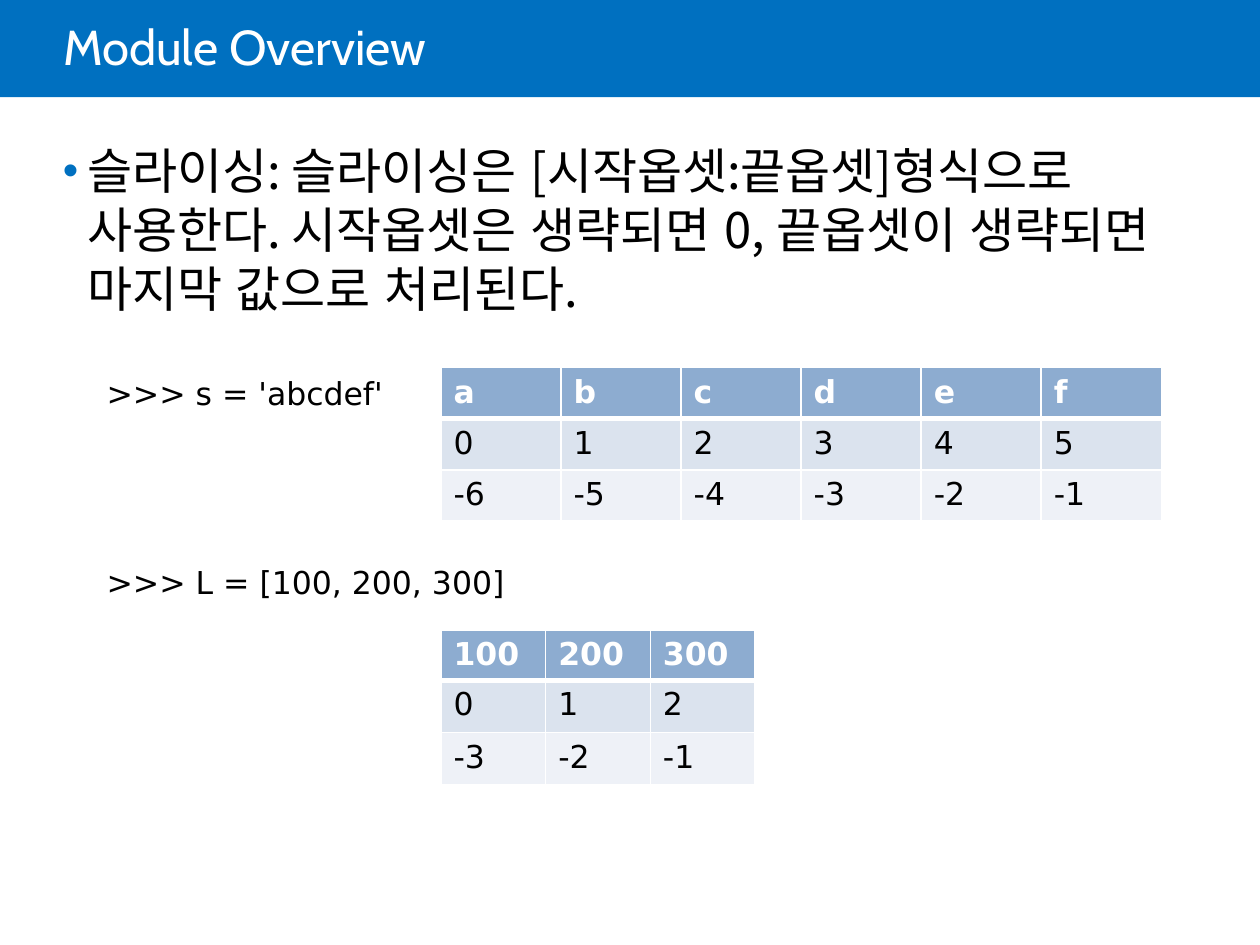
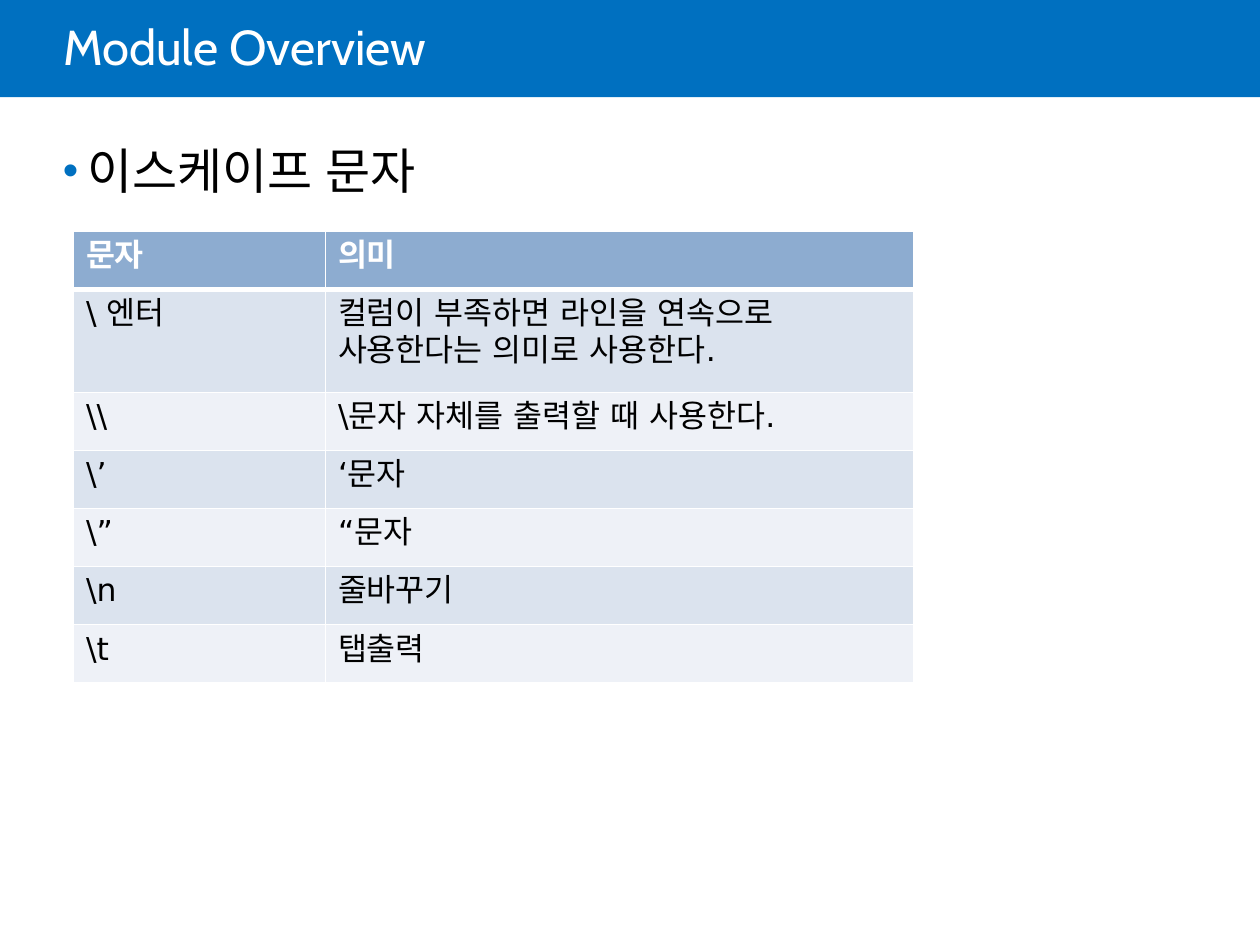
from lxml.etree import SubElement
from pptx import Presentation
from pptx.dml.color import RGBColor
from pptx.enum.shapes import MSO_SHAPE
from pptx.enum.text import MSO_ANCHOR, MSO_AUTO_SIZE, PP_ALIGN
from pptx.oxml.ns import qn
from pptx.util import Cm, Pt

COLORS = {
    "band": "0070C0",
    "header": "8DACD0",
    "odd row": "DBE3EE",
    "even row": "EEF1F7",
    "white": "FFFFFF",
    "black": "000000",
}
TITLE_FONT = "Cabin"
CODE_FONT = "DejaVu Sans"
KOREAN_FONT = "Noto Sans CJK KR"
TITLE_ONLY = 5
INDENT = Cm(0.49)

LETTERS = [list("abcdef"), range(6), range(-6, 0)]
NUMBERS = [[100, 200, 300], range(3), range(-3, 0)]
ESCAPES = [
    ("문자", "의미"),
    ("\\ 엔터", "컬럼이 부족하면 라인을 연속으로 사용한다는 의미로 사용한다."),
    ("\\\\", "\\문자 자체를 출력할 때 사용한다."),
    ("\\’", "‘문자"),
    ("\\”", "“문자"),
    ("\\n", "줄바꾸기"),
    ("\\t", "탭출력"),
]


def color(name):
    return RGBColor.from_string(COLORS[name])


def style(paragraph, font_name, size, color_name, bold=False):
    """Format a paragraph, using one font for Latin and Korean, without kerning."""
    font = paragraph.font
    font.name = font_name
    font.size = Pt(size)
    font.bold = bold
    font.color.rgb = color(color_name)
    for run in paragraph.runs:
        properties = run._r.get_or_add_rPr()
        properties.set("lang", "ko-KR")
        properties.set("kern", "0")
        SubElement(properties, qn("a:ea"), typeface=font_name)


def add_title_slide(presentation, title_text):
    slide = presentation.slides.add_slide(presentation.slide_layouts[TITLE_ONLY])
    title = slide.shapes.title
    band = slide.shapes.add_shape(
        MSO_SHAPE.RECTANGLE, 0, 0, presentation.slide_width, Cm(1.96))
    band.shadow.inherit = False
    band.fill.solid()
    band.fill.fore_color.rgb = color("band")
    band.line.fill.background()
    title.element.addprevious(band.element)

    title.left, title.top, title.width, title.height = Cm(1.27), 0, Cm(21.59), Cm(2.03)
    frame = title.text_frame
    frame.text = title_text
    frame.auto_size = MSO_AUTO_SIZE.NONE
    frame.vertical_anchor = MSO_ANCHOR.MIDDLE
    frame.margin_left = 0
    paragraph = frame.paragraphs[0]
    paragraph.alignment = PP_ALIGN.LEFT
    paragraph.line_spacing = 0.85
    style(paragraph, TITLE_FONT, 28, "white")
    return slide


def add_bullet(paragraph):
    properties = paragraph._p.get_or_add_pPr()
    properties.set("marL", str(INDENT))
    properties.set("indent", str(-INDENT))
    bullet_color = SubElement(properties, qn("a:buClr"))
    SubElement(bullet_color, qn("a:srgbClr"), val=COLORS["band"])
    SubElement(properties, qn("a:buSzPct"), val="90000")
    SubElement(properties, qn("a:buFont"), typeface="Arial")
    SubElement(properties, qn("a:buChar"), char="•")


def add_body(slide, text):
    box = slide.shapes.add_textbox(Cm(1.27), Cm(2.84), Cm(22.56), Cm(14.3))
    frame = box.text_frame
    frame.word_wrap = True
    frame.margin_left = frame.margin_top = frame.margin_right = frame.margin_bottom = 0
    frame.text = text
    paragraph = frame.paragraphs[0]
    paragraph.space_before = Pt(6)
    paragraph.line_spacing = 1.0
    add_bullet(paragraph)
    style(paragraph, KOREAN_FONT, 28, "black")


def add_code(slide, lines, gap):
    box = slide.shapes.add_textbox(Cm(1.9), Cm(7.42), Cm(12.7), Cm(4.88))
    frame = box.text_frame
    frame.word_wrap = True
    frame.text = "\n".join(lines)
    for index, paragraph in enumerate(frame.paragraphs):
        paragraph.space_before = Pt(gap if index else 0)
        style(paragraph, CODE_FONT, 18, "black")


def set_borders(cell, row_index):
    widths = {
        "lnL": 1,
        "lnR": 1,
        "lnT": 3 if row_index == 1 else 1,
        "lnB": 3 if row_index == 0 else 1,
    }
    properties = cell._tc.get_or_add_tcPr()
    for side, width in widths.items():
        line = SubElement(properties, qn(f"a:{side}"), w=str(Pt(width)))
        fill = SubElement(line, qn("a:solidFill"))
        SubElement(fill, qn("a:srgbClr"), val=COLORS["white"])


def add_data_table(slide, rows, left, top, column_widths, row_heights):
    """Add a table with a header row and alternating body rows; lengths in cm."""
    table = slide.shapes.add_table(
        len(rows), len(column_widths), Cm(left), Cm(top),
        Cm(sum(column_widths)), Cm(sum(row_heights))).table
    for column, width in zip(table.columns, column_widths):
        column.width = Cm(width)
    for row_index, values in enumerate(rows):
        is_header = row_index == 0
        fill_name = "header" if is_header else "odd row" if row_index % 2 else "even row"
        table.rows[row_index].height = Cm(row_heights[row_index])
        for cell, value in zip(table.rows[row_index].cells, values):
            cell.text = str(value)
            set_borders(cell, row_index)
            cell.fill.solid()
            cell.fill.fore_color.rgb = color(fill_name)
            style(cell.text_frame.paragraphs[0], CODE_FONT, 18,
                  "white" if is_header else "black", is_header)


def add_slicing_slide(presentation):
    slide = add_title_slide(presentation, "Module Overview")
    add_body(slide, "슬라이싱: 슬라이싱은 [시작옵셋:끝옵셋]형식으로 사용한다. "
                    "시작옵셋은 생략되면 0, 끝옵셋이 생략되면 마지막 값으로 처리된다.")
    add_data_table(slide, LETTERS, 8.89, 7.41, [2.42] * 6, [1.03] * 3)
    add_data_table(slide, NUMBERS, 8.89, 12.7, [2.11] * 3, [0.85, 1.05, 1.05])
    add_code(slide, [">>> s = 'abcdef'", ">>> L = [100, 200, 300]"], gap=86.5)


def add_escape_slide(presentation):
    slide = add_title_slide(presentation, "Module Overview")
    add_body(slide, "이스케이프 문자")
    add_data_table(slide, ESCAPES, 1.48, 4.66, [5.08, 11.85],
                   [1.17, 2.08] + [1.17] * 5)


def main():
    presentation = Presentation()
    presentation.slide_width, presentation.slide_height = Cm(25.4), Cm(19.05)
    add_slicing_slide(presentation)
    add_escape_slide(presentation)
    presentation.save("out.pptx")


if __name__ == "__main__":
    main()
